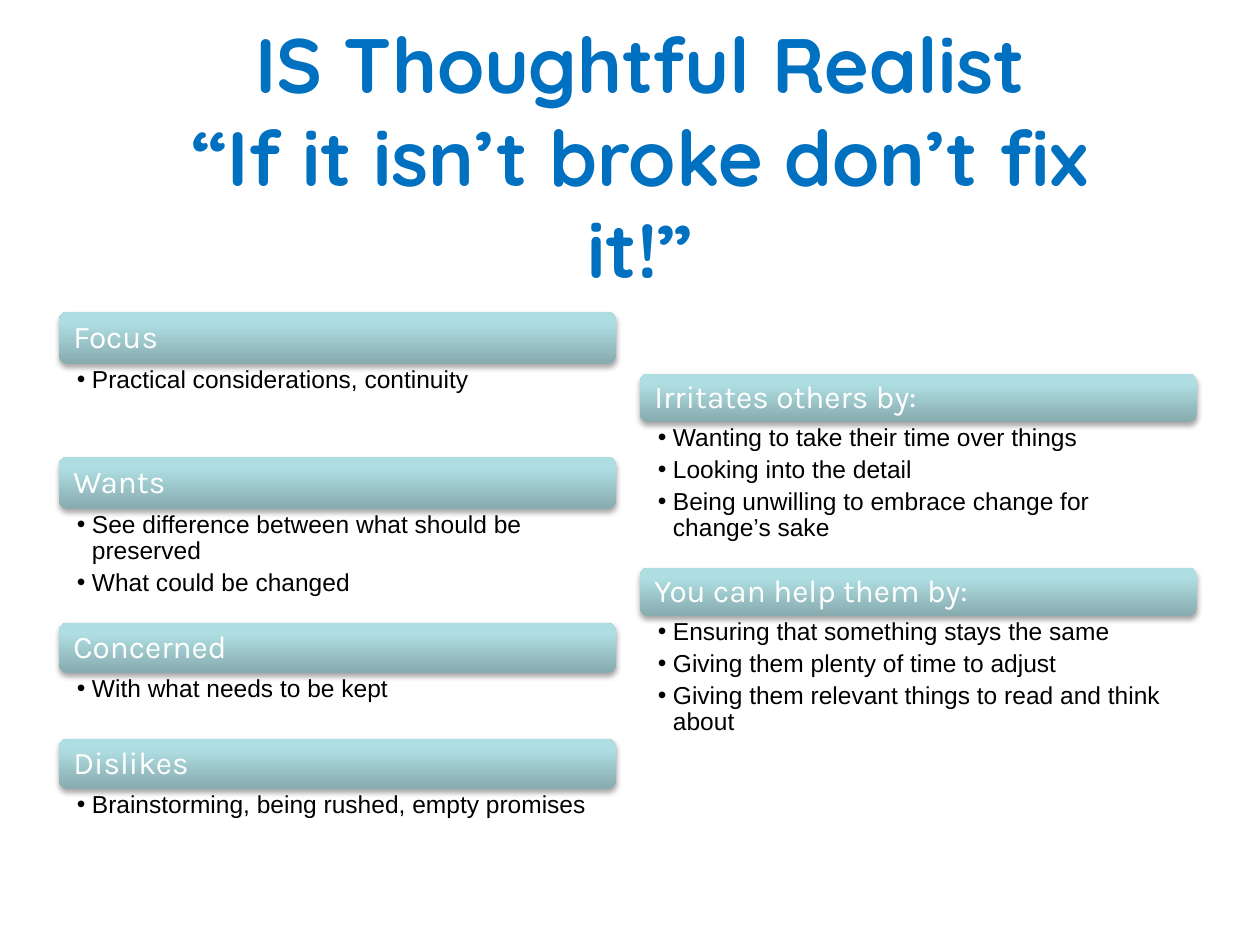
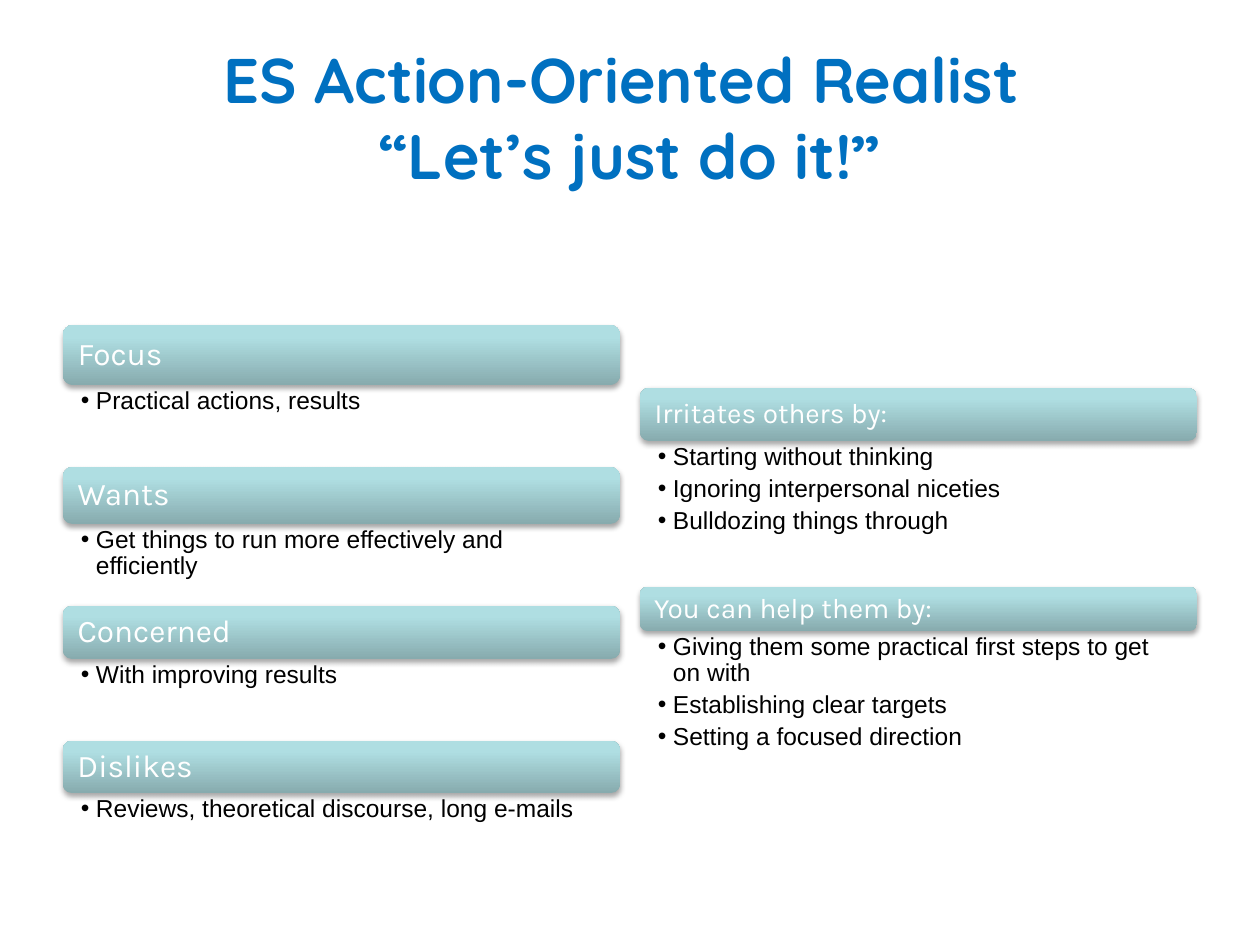
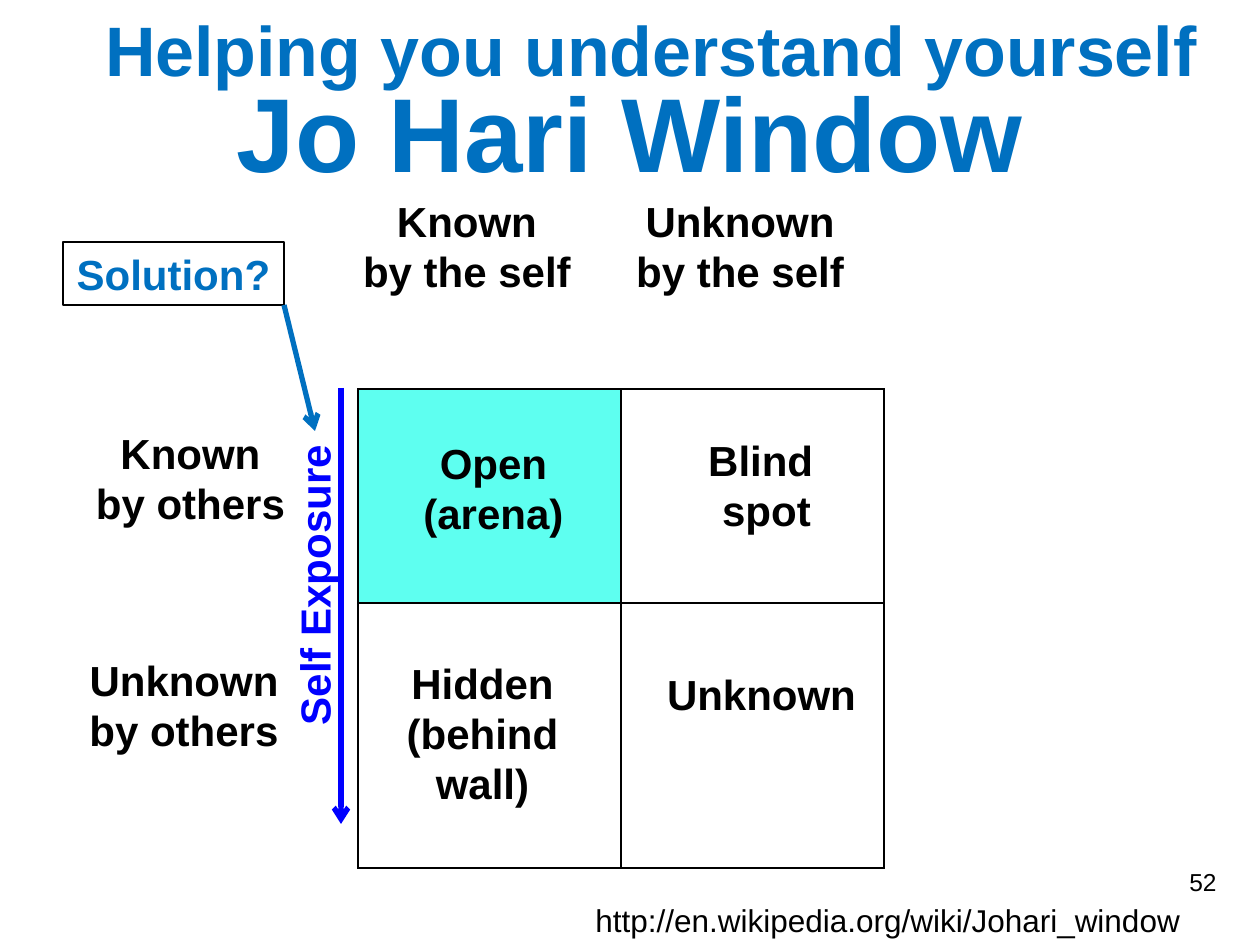
from dataclasses import dataclass

from lxml.etree import SubElement
from pptx import Presentation
from pptx.dml.color import RGBColor
from pptx.enum.shapes import MSO_CONNECTOR as Connector, MSO_SHAPE as Shape
from pptx.enum.text import MSO_ANCHOR as Anchor, MSO_AUTO_SIZE as AutoSize, PP_ALIGN as Align
from pptx.oxml.ns import qn
from pptx.util import Emu, Pt


@dataclass(frozen=True)
class Theme:
    heading: str = "0070C0"
    text: str = "000000"
    paper: str = "FFFFFF"
    exposure: str = "0000FF"
    open_area: str = "5EFFF0"
    bar_stops: tuple = ((0, "87ABAE"), (80, "AFDEE2"), (100, "AFE0E4"))
    title_font: str = "Quicksand"
    bar_font: str = "Karla"
    body_font: str = "Arial"
    body_size: int = 14
    label_size: int = 24
    link_size: int = 18
    banner_size: int = 40


theme = Theme()
EMU_PER_PX = 914400 / 126


def px(length):
    return Emu(round(length * EMU_PER_PX))


def write(paragraph, text, size, color=theme.text, font=theme.body_font, bold=False, align=None):
    paragraph.alignment = align
    for index, line in enumerate(text.split("\n")):
        if index:
            paragraph.add_line_break()
        run = paragraph.add_run()
        run.text = line
        run.font.size = Pt(size)
        run.font.name = font
        run.font.bold = bold
        run.font.color.rgb = RGBColor.from_string(color)


deck = Presentation()
deck.slide_width, deck.slide_height = px(1260), px(945)

titles = [
    ("IS Thoughtful Realist\n“If it isn’t broke don’t fix it!”", 44, theme.title_font, (132, 116, 1017, 79)),
    ("ES Action-Oriented Realist \n“Let’s just do it!”", 36, theme.title_font, (63, 38, 1134, 157)),
    ("Jo Hari Window", 60, theme.body_font, (63, 52, 1134, 157)),
]
slides = []
for wording, size, font, box in titles:
    slide = deck.slides.add_slide(deck.slide_layouts[5])
    title = slide.shapes.title
    title.left, title.top, title.width, title.height = map(px, box)
    title.text_frame.auto_size = AutoSize.NONE
    title.text_frame.word_wrap = True
    title.text_frame.vertical_anchor = Anchor.MIDDLE
    write(title.text_frame.paragraphs[0], wording, size, theme.heading, font, True, Align.CENTER)
    slides.append(slide)

thoughtful_realist = [
    (59, 312, 18, [
        ("Focus", 52, 93, ["Practical considerations, continuity"]),
        ("Wants", 52, 114, ["See difference between what should be preserved", "What could be changed"]),
        ("Concerned", 50, 66, ["With what needs to be kept"]),
        ("Dislikes", 50, 93, ["Brainstorming, being rushed, empty promises"]),
    ]),
    (640, 374, 18, [
        ("Irritates others by:", 48, 146, [
            "Wanting to take their time over things",
            "Looking into the detail",
            "Being unwilling to embrace change for change’s sake",
        ]),
        ("You can help them by:", 48, 146, [
            "Ensuring that something stays the same",
            "Giving them plenty of time to adjust",
            "Giving them relevant things to read and think about",
        ]),
    ]),
]
action_realist = [
    (63, 325, 18, [
        ("Focus", 60, 82, ["Practical actions, results"]),
        ("Wants", 57, 82, ["Get things to run more effectively and efficiently"]),
        ("Concerned", 53, 82, ["With improving results"]),
        ("Dislikes", 52, 82, ["Reviews, theoretical discourse, long e-mails"]),
    ]),
    (640, 388, 16, [
        ("Irritates others by:", 53, 146, [
            "Starting without thinking",
            "Ignoring interpersonal niceties",
            "Bulldozing things through",
        ]),
        ("You can help them by:", 44, 146, [
            "Giving them some practical first steps to get on with",
            "Establishing clear targets",
            "Setting a focused direction",
        ]),
    ]),
]
COLUMN_WIDTH = 557
BULLET_INDENT = 15

for slide, profile in zip(slides, (thoughtful_realist, action_realist)):
    for left, top, heading_size, traits in profile:
        column = slide.shapes.add_group_shape().shapes
        for heading, bar_height, body_height, points in traits:
            bar = column.add_shape(Shape.ROUNDED_RECTANGLE, *map(px, (left, top, COLUMN_WIDTH, bar_height)))
            bar.fill.gradient()
            bar.fill.gradient_angle = 90
            bar.line.fill.background()
            bar.shadow.inherit = False
            stops = bar.element.spPr.find(".//" + qn("a:gsLst"))
            stops.clear()
            for position, color in theme.bar_stops:
                stop = SubElement(stops, qn("a:gs"), pos=str(position * 1000))
                SubElement(stop, qn("a:srgbClr"), val=color)
            effects = bar.element.spPr.find(qn("a:effectLst"))
            shadow = SubElement(effects, qn("a:outerShdw"), blurRad=str(Pt(3.1)), dist=str(Pt(1.8)),
                                dir="5400000", rotWithShape="0")
            shade = SubElement(shadow, qn("a:srgbClr"), val=theme.text)
            SubElement(shade, qn("a:alpha"), val="35000")
            frame = bar.text_frame
            frame.word_wrap = True
            frame.vertical_anchor = Anchor.MIDDLE
            frame.margin_left = frame.margin_right = px(12)
            frame.margin_top = frame.margin_bottom = px(9)
            frame.paragraphs[0].line_spacing = 0.9
            write(frame.paragraphs[0], heading, heading_size, theme.paper, theme.bar_font, align=Align.LEFT)
            top += bar_height

            body = column.add_textbox(*map(px, (left, top, COLUMN_WIDTH, body_height))).text_frame
            body.word_wrap = True
            body.margin_left, body.margin_right = px(18), px(14)
            body.margin_top = body.margin_bottom = px(3)
            for index, point in enumerate(points):
                paragraph = body.add_paragraph() if index else body.paragraphs[0]
                paragraph.line_spacing = 0.9
                paragraph.space_after = Pt(3.2)
                properties = paragraph._p.get_or_add_pPr()
                properties.set("marL", str(px(BULLET_INDENT)))
                properties.set("indent", str(px(-BULLET_INDENT)))
                SubElement(properties, qn("a:buFont"), typeface=theme.body_font)
                SubElement(properties, qn("a:buChar"), char="•")
                write(paragraph, point, theme.body_size)
            top += body_height

johari = slides[2].shapes
window = johari.add_table(2, 2, *map(px, (358, 389, 526, 479))).table
window.first_row = window.horz_banding = False
for row, height in zip(window.rows, (214, 265)):
    row.height = px(height)
for pane in window.iter_cells():
    properties = pane._tc.get_or_add_tcPr()
    for side in ("lnL", "lnR", "lnT", "lnB"):
        border = SubElement(properties, qn("a:" + side), w=str(Pt(1)))
        ink = SubElement(border, qn("a:solidFill"))
        SubElement(ink, qn("a:srgbClr"), val=theme.text)
    pane.fill.background()
open_pane = window.cell(0, 0)
open_pane.fill.solid()
open_pane.fill.fore_color.rgb = RGBColor.from_string(theme.open_area)

bold_label = dict(size=theme.label_size, bold=True, align=Align.CENTER)
labels = [
    (["Known", "by the self"], (349, 189, 236, 115), False, bold_label),
    (["Unknown", "by the self"], (622, 189, 236, 115), False, bold_label),
    (["Known", "by others"], (82, 421, 217, 115), False, bold_label),
    (["Unknown", "by others"], (73, 648, 222, 115), False, bold_label),
    (["52"], (1176, 861, 53, 65), True, dict(size=theme.body_size, align=Align.RIGHT)),
    (["Open", "(arena)"], (399, 431, 189, 115), True, bold_label),
    (["Blind ", "spot"], (693, 428, 147, 115), True, bold_label),
    (["Hidden", "(behind wall)"], (388, 651, 189, 165), True, bold_label),
    (["Unknown"], (651, 662, 221, 64), True, bold_label),
    (["http://en.wikipedia.org/wiki/Johari_window"], (583, 895, 616, 50), False, dict(size=theme.link_size)),
    (["Helping you understand yourself"], (84, 0, 1134, 82), True,
     dict(bold_label, size=theme.banner_size, color=theme.heading)),
]
for lines, box, wraps, style in labels:
    frame = johari.add_textbox(*map(px, box)).text_frame
    frame.word_wrap = wraps
    for index, line in enumerate(lines):
        write(frame.add_paragraph() if index else frame.paragraphs[0], line, **style)

solution = johari.add_shape(Shape.RECTANGLE, *map(px, (63, 242, 221, 63)))
solution.shadow.inherit = False
solution.fill.solid()
solution.fill.fore_color.rgb = RGBColor.from_string(theme.paper)
solution.line.color.rgb = RGBColor.from_string(theme.text)
solution.line.width = Pt(0.75)
solution.text_frame.word_wrap = False
write(solution.text_frame.paragraphs[0], "Solution?", color=theme.heading, **bold_label)

exposure = johari.add_textbox(*map(px, (161, 553, 307, 64)))
exposure.rotation = 270
exposure.text_frame.word_wrap = False
write(exposure.text_frame.paragraphs[0], "Self Exposure", color=theme.exposure, **bold_label)

arrows = [((341, 388, 341, 824), theme.exposure), ((284, 305, 315, 431), theme.heading)]
for ends, color in arrows:
    arrow = johari.add_connector(Connector.STRAIGHT, *map(px, ends))
    arrow.line.width = Pt(3)
    arrow.line.color.rgb = RGBColor.from_string(color)
    outline = arrow.element.spPr.find(qn("a:ln"))
    SubElement(outline, qn("a:tailEnd"), type="arrow")
    SubElement(arrow.element.spPr, qn("a:effectLst"))

deck.save("out.pptx")
